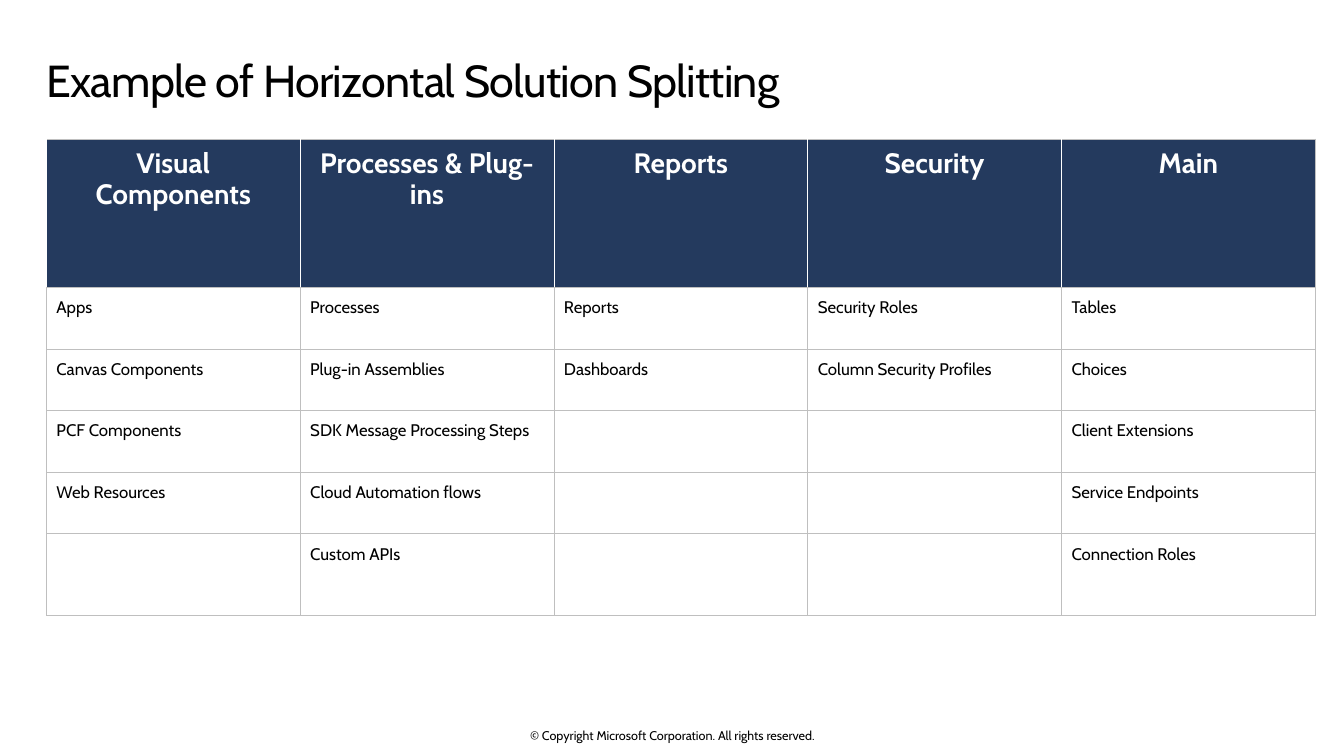
"""Build a slide showing a horizontal solution split as a table."""
from dataclasses import dataclass

import pptx
import pptx.dml.color
import pptx.enum.text
import pptx.oxml
import pptx.oxml.ns
import pptx.util

Pt = pptx.util.Pt
PP_ALIGN = pptx.enum.text.PP_ALIGN
ANCHOR = pptx.enum.text.MSO_ANCHOR
AUTO_SIZE = pptx.enum.text.MSO_AUTO_SIZE


@dataclass(frozen=True)
class Theme:
    font: str = "Cabin"
    ink: str = "000000"
    paper: str = "FFFFFF"
    navy: str = "243A5E"
    grid: str = "BFBFBF"
    title_size: float = 32
    header_size: float = 20
    body_size: float = 12
    footer_size: float = 9
    border_width: float = 0.5
    line_spacing: float = 0.9
    cell_margin: float = 7.2


@dataclass(frozen=True)
class SolutionColumn:
    heading: str
    components: tuple[str, ...]


@dataclass(frozen=True)
class Box:
    left: float
    top: float
    width: float
    height: float


THEME = Theme()
TITLE_BOX = Box(33.1, 34.6, 892.8, 53.3)
TABLE_BOX = Box(33.1, 99.4, 906.5, 340.4)
FOOTER_BOX = Box(318.2, 519.8, 324, 10.8)
ROW_HEIGHTS = (105.8, 44, 44, 44, 44, 58.6)
COLUMNS = (
    SolutionColumn("Visual Components", (
        "Apps", "Canvas Components", "PCF Components", "Web Resources")),
    SolutionColumn("Processes & Plug-ins", (
        "Processes", "Plug-in Assemblies", "SDK Message Processing Steps",
        "Cloud Automation flows", "Custom APIs")),
    SolutionColumn("Reports", ("Reports", "Dashboards")),
    SolutionColumn("Security", ("Security Roles", "Column Security Profiles")),
    SolutionColumn("Main", (
        "Tables", "Choices", "Client Extensions", "Service Endpoints",
        "Connection Roles")),
)


def rgb(color: str) -> pptx.dml.color.RGBColor:
    return pptx.dml.color.RGBColor.from_string(color)


def write(tf, text: str, size: float, color: str, align: PP_ALIGN,
          bold: bool = False, line_spacing: float = 1.0) -> None:
    tf.text = text
    p = tf.paragraphs[0]
    p.alignment = align
    p.line_spacing = line_spacing
    p.space_before = Pt(0)
    for r in p.runs:
        r.font.name = THEME.font
        r.font.size = Pt(size)
        r.font.bold = bold
        r.font.color.rgb = rgb(color)


def set_margins(tf, left: float, top: float, right: float, bottom: float) -> None:
    tf.margin_left, tf.margin_top = Pt(left), Pt(top)
    tf.margin_right, tf.margin_bottom = Pt(right), Pt(bottom)


def set_borders(cell, sides: dict[str, str]) -> None:
    tc_pr = cell._tc.get_or_add_tcPr()
    for side, color in sides.items():
        tc_pr.append(pptx.oxml.parse_xml(
            f'<a:ln{side} {pptx.oxml.ns.nsdecls("a")} '
            f'w="{Pt(THEME.border_width)}"><a:solidFill>'
            f'<a:srgbClr val="{color}"/></a:solidFill></a:ln{side}>'))


def format_cell(cell, text: str, header: bool, last: bool) -> None:
    margin = THEME.cell_margin
    set_margins(cell, margin, margin, margin, margin)
    cell.vertical_anchor = ANCHOR.TOP
    sides = dict.fromkeys("LRTB", THEME.grid)
    if header:
        sides["L"] = THEME.paper
        sides["R"] = THEME.grid if last else THEME.paper
        write(cell.text_frame, text, THEME.header_size, THEME.paper,
              PP_ALIGN.CENTER, True, THEME.line_spacing)
    elif text:
        write(cell.text_frame, text, THEME.body_size, THEME.ink, PP_ALIGN.LEFT)
    set_borders(cell, sides)
    cell.fill.solid()
    cell.fill.fore_color.rgb = rgb(THEME.navy if header else THEME.paper)


def add_title(s, text: str, box: Box) -> None:
    sp = s.shapes.title
    sp.left, sp.top = Pt(box.left), Pt(box.top)
    sp.width, sp.height = Pt(box.width), Pt(box.height)
    tf = sp.text_frame
    tf.word_wrap = True
    tf.auto_size = AUTO_SIZE.NONE
    tf.vertical_anchor = ANCHOR.TOP
    set_margins(tf, 0, 7.2, 11.5, 7.2)
    write(tf, text, THEME.title_size, THEME.ink, PP_ALIGN.LEFT,
          line_spacing=THEME.line_spacing)
    tf.paragraphs[0].runs[0].font._element.set("spc", "-50")


def add_solution_table(s, columns: tuple[SolutionColumn, ...], box: Box) -> None:
    table = s.shapes.add_table(
        len(ROW_HEIGHTS), len(columns), Pt(box.left), Pt(box.top),
        Pt(box.width), Pt(box.height)).table
    table.horz_banding = False
    for row, height in zip(table.rows, ROW_HEIGHTS):
        row.height = Pt(height)
    for i, column in enumerate(columns):
        table.columns[i].width = Pt(box.width / len(columns))
        texts = (column.heading, *column.components)
        for j in range(len(ROW_HEIGHTS)):
            text = texts[j] if j < len(texts) else ""
            format_cell(table.cell(j, i), text, j == 0, i == len(columns) - 1)


def add_footer(s, text: str, box: Box) -> None:
    sp = s.shapes.add_textbox(
        Pt(box.left), Pt(box.top), Pt(box.width), Pt(box.height))
    tf = sp.text_frame
    tf.word_wrap = True
    tf.auto_size = AUTO_SIZE.SHAPE_TO_FIT_TEXT
    tf.vertical_anchor = ANCHOR.MIDDLE
    set_margins(tf, 0, 0, 0, 0)
    write(tf, text, THEME.footer_size, THEME.ink, PP_ALIGN.CENTER)


def main() -> None:
    prs = pptx.Presentation()
    prs.slide_width, prs.slide_height = Pt(960), Pt(540)
    s = prs.slides.add_slide(prs.slide_layouts.get_by_name("Title Only"))
    s.background.fill.solid()
    s.background.fill.fore_color.rgb = rgb(THEME.paper)
    add_title(s, "Example of Horizontal Solution Splitting", TITLE_BOX)
    add_solution_table(s, COLUMNS, TABLE_BOX)
    add_footer(s, "© Copyright Microsoft Corporation. All rights reserved.",
               FOOTER_BOX)
    prs.save("out.pptx")


if __name__ == "__main__":
    main()
